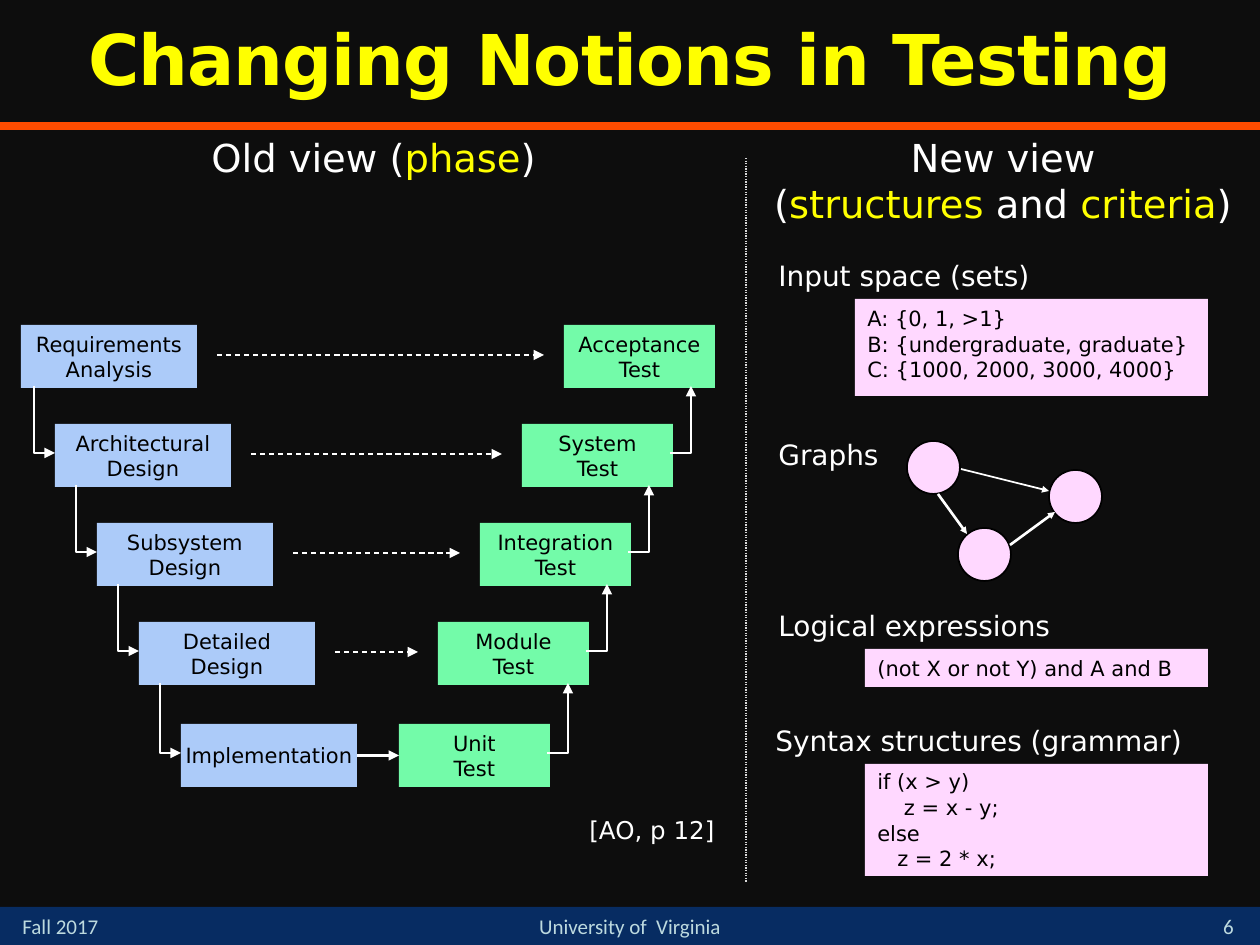
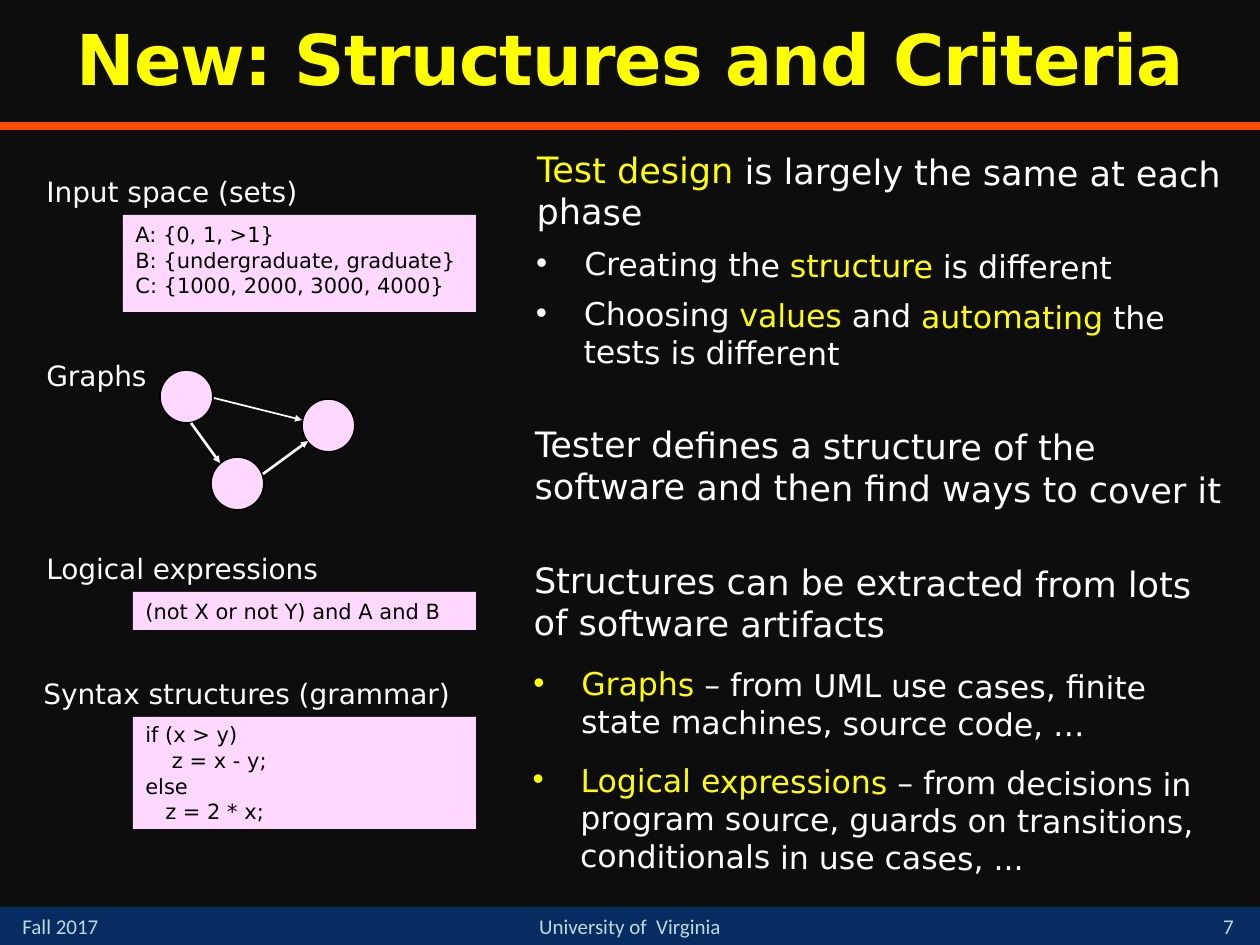
from lxml import etree
from pptx import Presentation
from pptx import util as u
from pptx.dml.color import RGBColor
from pptx.enum import dml, shapes, text
from pptx.oxml import ns

EMU_PER_PX = 914400 / 126
BACKDROP = RGBColor(0x0D, 0x0D, 0x0D)
NAVY = RGBColor(0x07, 0x2C, 0x62)
ORANGE = RGBColor(0xFF, 0x4C, 0x00)
PALE = RGBColor(0xBD, 0xDA, 0xDF)
YELLOW = RGBColor(0xFF, 0xFF, 0x00)
WHITE = RGBColor(0xFF, 0xFF, 0xFF)
BLACK = RGBColor(0x00, 0x00, 0x00)
GREY = RGBColor(0xD9, 0xD9, 0xD9)
PINK = RGBColor(0xFF, 0xD8, 0xFF)
BLUE = RGBColor(0xAC, 0xCB, 0xF9)
GREEN = RGBColor(0x73, 0xFB, 0xA9)
BODY_FONT = "DejaVu Sans"
FOOTER_FONT = "Calibri"
LEFT, CENTER = text.PP_ALIGN.LEFT, text.PP_ALIGN.CENTER
TOP, MIDDLE, BOTTOM = (text.MSO_ANCHOR.TOP, text.MSO_ANCHOR.MIDDLE,
                       text.MSO_ANCHOR.BOTTOM)

PHASES = [
    (325, 21, ["Requirements", "Analysis"], 564, ["Acceptance", "Test"]),
    (424, 55, ["Architectural", "Design"], 522, ["System", "Test"]),
    (523, 97, ["Subsystem", "Design"], 480, ["Integration", "Test"]),
    (622, 139, ["Detailed", "Design"], 438, ["Module", "Test"]),
    (724, 181, ["Implementation"], 399, ["Unit", "Test"]),
]
DESIGN_WIDTH, TEST_WIDTH, PHASE_HEIGHT = 176, 151, 63

CRITERIA = [
    ("Test design| is largely the same at each phase", False, 0),
    ("Creating the |structure| is different", True, 7),
    ("Choosing |values| and |automating| the tests is different", True, 7),
    ("Tester defines a structure of the software and then find ways to cover it",
     False, 30),
    ("Structures can be extracted from lots of software artifacts", False, 30),
    ("|Graphs| – from UML use cases, finite state machines, source code, …",
     True, 12),
    ("|Logical expressions| – from decisions in program source, guards on "
     "transitions, conditionals in use cases, ...", True, 12),
]


def px(*lengths):
    return [u.Emu(round(length * EMU_PER_PX)) for length in lengths]


def style(paragraph, size, color, font=BODY_FONT):
    paragraph.font.size = u.Pt(size)
    paragraph.font.name = font
    paragraph.font.color.rgb = color


def add_marked_runs(paragraph, marked):
    for index, part in enumerate(marked.split("|")):
        if part:
            run = paragraph.add_run()
            run.text = part
            if index % 2:
                run.font.color.rgb = YELLOW


def write(frame, lines, size, color, align=LEFT, anchor=TOP, wrap=True,
          font=BODY_FONT, line_spacing=None, gap=0):
    frame.word_wrap = wrap
    frame.vertical_anchor = anchor
    for index, line in enumerate(lines):
        paragraph = frame.add_paragraph() if index else frame.paragraphs[0]
        add_marked_runs(paragraph, line)
        paragraph.alignment = align
        if line_spacing:
            paragraph.line_spacing = line_spacing
        if index and gap:
            paragraph.space_before = u.Pt(gap)
        style(paragraph, size, color, font)


def add_label(slide, box, lines, size, color=WHITE, **layout):
    label = slide.shapes.add_textbox(*px(*box))
    write(label.text_frame, lines, size, color, **layout)


def add_block(slide, box, fill, kind=shapes.MSO_SHAPE.RECTANGLE):
    block = slide.shapes.add_shape(kind, *px(*box))
    block.shadow.inherit = False
    block.fill.solid()
    block.fill.fore_color.rgb = fill
    block.line.fill.background()
    return block


def add_line(slide, start, end, width, color=WHITE, dash=None, arrow=None,
             arrow_at="tailEnd", bent=False):
    kind = shapes.MSO_CONNECTOR.ELBOW if bent else shapes.MSO_CONNECTOR.STRAIGHT
    line = slide.shapes.add_connector(kind, *px(*start, *end))
    line.line.color.rgb = color
    line.line.width = u.Pt(width)
    if dash:
        line.line.dash_style = dash
    properties = line._element.spPr
    if bent:
        properties.find(ns.qn("a:prstGeom")).set("prst", "bentConnector2")
    if arrow:
        etree.SubElement(line.line._get_or_add_ln(), ns.qn(f"a:{arrow_at}"),
                         type="triangle", w=arrow, len=arrow)
    etree.SubElement(properties, ns.qn("a:effectLst"))
    return line


def add_frame(slide, title, number):
    add_block(slide, (0, 907, 1260, 38), NAVY)
    add_line(slide, (0, 126), (1260, 126), 4.5, ORANGE)
    for box, words, align, anchor in [
        ((10, 907, 147, 38), "Fall 2017", LEFT, TOP),
        ((1197, 903, 63, 42), str(number), CENTER, BOTTOM),
        ((462, 907, 336, 38), "University of  Virginia", CENTER, TOP),
    ]:
        add_label(slide, box, [words], 12, PALE, align=align, anchor=anchor,
                  font=FOOTER_FONT)

    heading = slide.shapes.title
    heading.left, heading.top, heading.width, heading.height = px(0, 0, 1260, 126)
    heading.text_frame.auto_size = text.MSO_AUTO_SIZE.NONE
    write(heading.text_frame, [title], 40, YELLOW, align=CENTER, anchor=MIDDLE,
          line_spacing=0.9)
    paragraph = heading.text_frame.paragraphs[0]
    paragraph.font.bold = True
    paragraph.runs[0]._r.get_or_add_rPr().set("spc", "-50")


def add_graph(slide, left, top):
    for dx, dy in [(0, 0), (142, 29), (51, 87)]:
        node = add_block(slide, (left + dx, top + dy, 53, 53), PINK,
                         shapes.MSO_SHAPE.OVAL)
        node.line.color.rgb = BLACK
        node.line.width = u.Pt(1)
    for x1, y1, x2, y2, width in [(54, 28, 142, 50, 1), (31, 53, 60, 93, 1.5),
                                  (103, 104, 148, 71, 1.5)]:
        add_line(slide, (left + x1, top + y1), (left + x2, top + y2), width,
                 arrow="sm")


def add_structures(slide, left, sets_top, graph_top, logic_top, grammar_top,
                   graph_origin):
    for dx, top, width, name in [
        (0, sets_top, 462, "Input space (sets)"),
        (0, graph_top, 168, "Graphs"),
        (0, logic_top, 347, "Logical expressions"),
        (-3, grammar_top, 454, "Syntax structures (grammar)"),
    ]:
        add_label(slide, (left + dx, top, width, 47), [name], 16)
    for dx, top, width, height, lines, anchor in [
        (89, sets_top, 353, 97, ["A: {0, 1, >1}", "B: {undergraduate, graduate}",
                                 "C: {1000, 2000, 3000, 4000}"], MIDDLE),
        (99, logic_top, 343, 38, ["(not X or not Y) and A and B"], TOP),
        (99, grammar_top, 343, 112, ["if (x > y)", "    z = x - y;", "else",
                                     "   z = 2 * x;"], BOTTOM),
    ]:
        example = add_block(slide, (left + dx, top + 47, width, height), PINK)
        write(example.text_frame, lines, 12, BLACK, anchor=anchor,
              line_spacing=0.6 if len(lines) > 1 else None, gap=6)
    add_graph(slide, left + graph_origin[0], graph_origin[1])


def add_phase(slide, left, top, width, lines, fill):
    phase = add_block(slide, (left, top, width, PHASE_HEIGHT), fill)
    write(phase.text_frame, lines, 12, BLACK, align=CENTER, anchor=MIDDLE,
          wrap=False)
    return phase


def add_v_model(slide, left, top):
    rows = [(top + y, left + design_x, design, left + test_x, test)
            for y, design_x, design, test_x, test in PHASES]
    for y, design_x, design, test_x, test in rows:
        design_box = add_phase(slide, design_x, y, DESIGN_WIDTH, design, BLUE)
        test_box = add_phase(slide, test_x, y, TEST_WIDTH, test, GREEN)
    for upper, lower in zip(rows, rows[1:]):
        y, design_x, _, test_x, _ = upper
        next_y, next_design, _, next_test, _ = lower
        test_edge = next_test + TEST_WIDTH
        add_line(slide, (next_design, next_y + 29), (next_design - 21, y + 61),
                 1.5, arrow="med", arrow_at="headEnd", bent=True)
        add_line(slide, (test_edge - 3, next_y + 29), (test_edge + 18, y + 61),
                 1.5, arrow="med", bent=True)
        add_line(slide, (design_x + DESIGN_WIDTH + 20, y + 30),
                 (test_x - 20, y + 30), 0.75, dash=dml.MSO_LINE.DASH, arrow="med")
    hand_over = add_line(slide, (0, 0), (1, 1), 1.5, arrow="med")
    hand_over.begin_connect(design_box, 3)
    hand_over.end_connect(test_box, 1)


def add_criteria(slide, box):
    body = slide.placeholders[1]
    body.left, body.top, body.width, body.height = px(*box)
    body.rotation = 0.4
    frame = body.text_frame
    frame.auto_size = text.MSO_AUTO_SIZE.NONE
    frame.vertical_anchor = MIDDLE
    for index, (marked, bulleted, gap) in enumerate(CRITERIA):
        paragraph = frame.add_paragraph() if index else frame.paragraphs[0]
        add_marked_runs(paragraph, marked if index else "|" + marked)
        properties = paragraph._p.get_or_add_pPr()
        margin, indent = px(63, -48) if bulleted else px(15, 0)
        properties.set("marL", str(margin))
        properties.set("indent", str(indent))
        if bulleted:
            etree.SubElement(properties, ns.qn("a:buChar"), char="•")
        else:
            etree.SubElement(properties, ns.qn("a:buNone"))
        paragraph.space_before = u.Pt(gap)
        style(paragraph, 18 if bulleted else 20, WHITE)


def build_notions_slide(deck):
    slide = deck.slides.add_slide(deck.slide_layouts[5])
    add_frame(slide, "Changing Notions in Testing", 6)
    add_structures(slide, 766, 252, 431, 602, 717, (141, 441))
    add_label(slide, (756, 128, 494, 106),
              ["New view", "(|structures| and |criteria|)"], 22, align=CENTER,
              wrap=False)
    add_v_model(slide, 0, 0)
    add_label(slide, (199, 128, 358, 59), ["Old view (|phase|)"], 22, wrap=False)
    add_line(slide, (746, 158), (746, 882), 0.75, GREY,
             dash=dml.MSO_LINE.ROUND_DOT)
    add_label(slide, (577, 809, 190, 43), ["[AO, p 12]"], 14)


def build_structures_slide(deck):
    slide = deck.slides.add_slide(deck.slide_layouts[1])
    add_frame(slide, "New: Structures and Criteria", 7)
    add_structures(slide, 34, 168, 352, 545, 670, (126, 370))
    add_criteria(slide, (507, 140, 735, 746))


def main():
    deck = Presentation()
    deck.slide_width, deck.slide_height = px(1260, 945)
    backdrop = deck.slide_master.background.fill
    backdrop.solid()
    backdrop.fore_color.rgb = BACKDROP
    build_notions_slide(deck)
    build_structures_slide(deck)
    deck.save("out.pptx")


if __name__ == "__main__":
    main()
